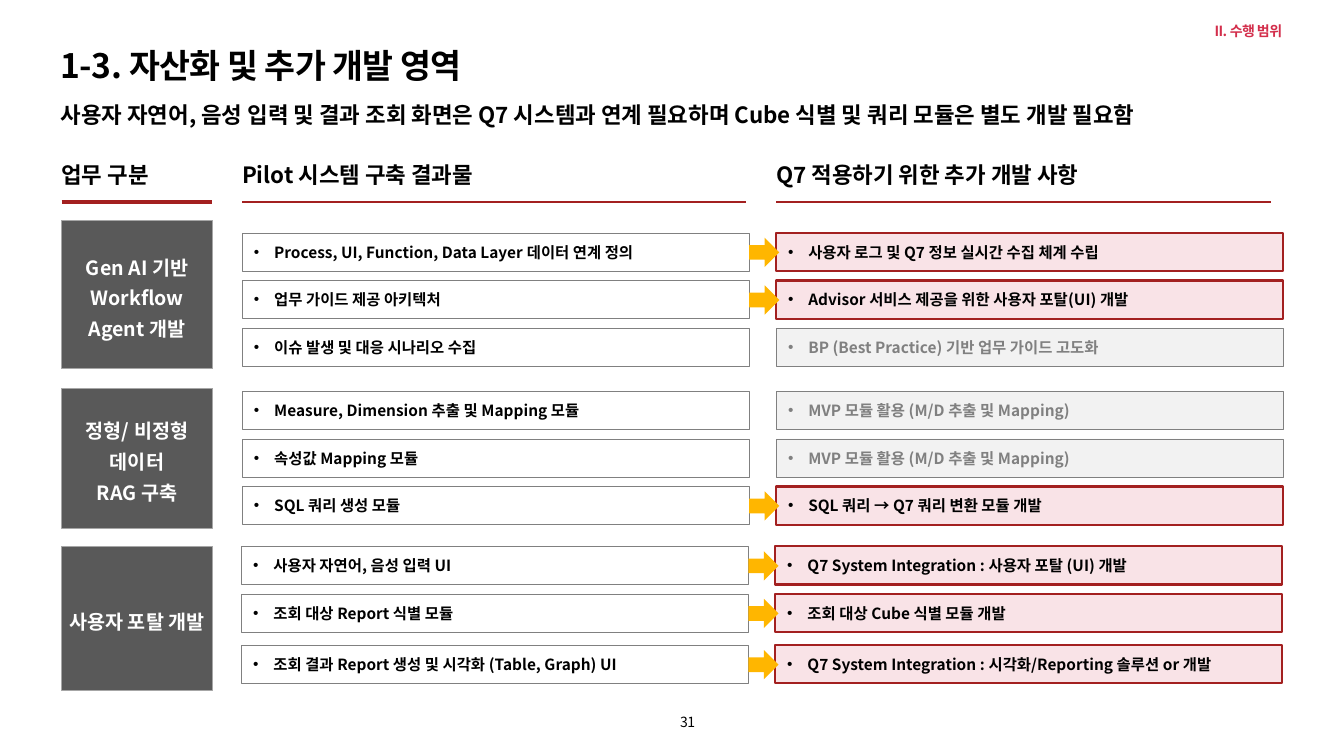
from lxml import etree
from pptx import Presentation
from pptx.dml.color import RGBColor
from pptx.enum.shapes import MSO_CONNECTOR, MSO_SHAPE
from pptx.enum.text import MSO_ANCHOR, PP_ALIGN
from pptx.oxml.ns import qn
from pptx.util import Cm, Pt

RECT, ARROW = MSO_SHAPE.RECTANGLE, MSO_SHAPE.RIGHT_ARROW
STRAIGHT = MSO_CONNECTOR.STRAIGHT
TOP, MIDDLE = MSO_ANCHOR.TOP, MSO_ANCHOR.MIDDLE
LEFT, CENTER, RIGHT = PP_ALIGN.LEFT, PP_ALIGN.CENTER, PP_ALIGN.RIGHT

FONT = "Noto Sans CJK JP"
BLACK = RGBColor(0x00, 0x00, 0x00)
WHITE = RGBColor(0xFF, 0xFF, 0xFF)
DARK = RGBColor(0x59, 0x59, 0x59)
GRAY = RGBColor(0x80, 0x80, 0x80)
SILVER = RGBColor(0xA6, 0xA6, 0xA6)
PALE = RGBColor(0xF2, 0xF2, 0xF2)
PINK = RGBColor(0xF9, 0xE3, 0xE7)
RED = RGBColor(0xA3, 0x20, 0x20)
CRIMSON = RGBColor(0xD3, 0x2E, 0x4B)
AMBER = RGBColor(0xFF, 0xB6, 0x00)

TASK_X, TASK_W = 1.55, 3.81
PILOT_X, EXTRA_X, ITEM_W, ITEM_H = 6.1, 19.56, 12.78, 0.96
PITCH = 1.2

HEADERS = [
    ("업무 구분", TASK_X, 3.78, 2.9),
    ("Pilot 시스템 구축 결과물", PILOT_X, 12.7, 1.5),
    ("Q7 적용하기 위한 추가 개발 사항", EXTRA_X, 12.47, 1.5),
]

SECTIONS = [
    (5.56, 3.73, ["Gen AI 기반", "Workflow Agent 개발"], 0, [0.31, 0.31 + PITCH, 0.31 + 2 * PITCH], [
        ("Process, UI, Function, Data Layer 데이터 연계 정의",
         "사용자 로그 및 Q7 정보 실시간 수집 체계 수립", True),
        ("업무 가이드 제공 아키텍처",
         "Advisor 서비스 제공을 위한 사용자 포탈(UI) 개발", True),
        ("이슈 발생 및 대응 시나리오 수집",
         "BP (Best Practice) 기반 업무 가이드 고도화", False),
    ]),
    (9.78, 3.53, ["정형/ 비정형 데이터\nRAG 구축"], 0, [0.08, 0.08 + PITCH, 0.08 + 2 * PITCH], [
        ("Measure, Dimension 추출 및 Mapping 모듈",
         "MVP 모듈 활용 (M/D 추출 및 Mapping)", False),
        ("속성값 Mapping 모듈", "MVP 모듈 활용 (M/D 추출 및 Mapping)", False),
        ("SQL 쿼리 생성 모듈", "SQL 쿼리 → Q7 쿼리 변환 모듈 개발", True),
    ]),
    (13.77, 3.63, ["사용자 포탈 개발"], -0.02, [0, PITCH, 2.49], [
        ("사용자 자연어, 음성 입력 UI",
         "Q7 System Integration : 사용자 포탈 (UI) 개발", True),
        ("조회 대상 Report 식별 모듈", "조회 대상 Cube 식별 모듈 개발", True),
        ("조회 결과 Report 생성 및 시각화 (Table, Graph) UI",
         "Q7 System Integration : 시각화/Reporting 솔루션 or 개발", True),
    ]),
]


def add_run(p, text, size, color, bold=True, spacing=None):
    """Add one styled run to a paragraph."""
    r = p.add_run()
    r.text = text
    r.font.size = Pt(size)
    r.font.bold = bold
    r.font.color.rgb = color
    r.font.name = FONT
    rPr = r._r.get_or_add_rPr()
    etree.SubElement(rPr, qn("a:ea"), typeface=FONT)
    if spacing:
        rPr.set("spc", str(spacing))


def set_frame(tf, anchor, left=0, top=0, right=0, bottom=0):
    """Set the wrapping, anchor and margins of a text frame."""
    tf.word_wrap = True
    tf.vertical_anchor = anchor
    tf.margin_left, tf.margin_top = Cm(left), Cm(top)
    tf.margin_right, tf.margin_bottom = Cm(right), Cm(bottom)


def add_label(s, x, y, w, h, text, size, color=BLACK, align=LEFT, bold=True, spacing=None):
    """Add a single line of text in a box without margins."""
    tf = s.shapes.add_textbox(Cm(x), Cm(y), Cm(w), Cm(h)).text_frame
    set_frame(tf, TOP)
    p = tf.paragraphs[0]
    p.alignment = align
    add_run(p, text, size, color, bold, spacing)


def add_block(s, kind, x, y, w, h, fill=None, line=None, width=0.25):
    """Add a flat shape with an optional fill and outline."""
    sp = s.shapes.add_shape(kind, Cm(x), Cm(y), Cm(w), Cm(h))
    sp.shadow.inherit = False
    if fill is None:
        sp.fill.background()
    else:
        sp.fill.solid()
        sp.fill.fore_color.rgb = fill
    if line is None:
        sp.line.fill.background()
    else:
        sp.line.color.rgb = line
        sp.line.width = Pt(width)
    return sp


def add_header(s, x, y, w, text, weight):
    """Add a column heading with a red rule below it."""
    add_label(s, x, y, w, 0.69, text, 16)
    rule = s.shapes.add_connector(STRAIGHT, Cm(x), Cm(y + 1.04), Cm(x + w), Cm(y + 1.04))
    rule.line.color.rgb = RED
    rule.line.width = Pt(weight)
    etree.SubElement(rule._element.spPr, qn("a:effectLst"))


def add_task(s, x, y, w, h, lines):
    """Add the dark box that names a task."""
    tf = add_block(s, RECT, x, y, w, h, DARK, SILVER, 0.5).text_frame
    set_frame(tf, MIDDLE, 0.1, 0.2, 0.1, 0.2)
    for i, line in enumerate(lines):
        p = tf.add_paragraph() if i else tf.paragraphs[0]
        p.alignment = CENTER
        p.line_spacing = 1.3
        for j, part in enumerate(line.split("\n")):
            if j:
                p.add_line_break()
            add_run(p, part, 14, WHITE)


def add_item(s, x, y, w, h, text, color, fill, line, width):
    """Add an outlined box holding one bulleted line."""
    tf = add_block(s, RECT, x, y, w, h, fill, line, width).text_frame
    set_frame(tf, MIDDLE, left=0.3, right=0.1)
    p = tf.paragraphs[0]
    p.alignment = LEFT
    pPr = p._p.get_or_add_pPr()
    pPr.set("marL", str(Cm(0.51)))
    pPr.set("indent", str(Cm(-0.51)))
    etree.SubElement(pPr, qn("a:buFont"), typeface="Arial")
    etree.SubElement(pPr, qn("a:buChar"), char="•")
    add_run(p, text, 11, color)


def add_section(s, y, h, task, shift, offsets, rows):
    """Add a task with its pilot results and further development items."""
    add_task(s, TASK_X, y, TASK_W, h, task)
    for offset, (pilot, extra, needed) in zip(offsets, rows):
        top = y + offset
        style = (BLACK, PINK, RED, 1.5) if needed else (GRAY, PALE, GRAY, 0.25)
        add_item(s, PILOT_X + shift, top, ITEM_W, ITEM_H, pilot, BLACK, None, GRAY, 0.25)
        add_item(s, EXTRA_X + shift, top, ITEM_W, ITEM_H, extra, *style)
        if needed:
            add_block(s, ARROW, PILOT_X + ITEM_W + shift, top + 0.12, 0.76, 0.74, AMBER)


def add_scope_slide(prs):
    """Add the slide on reused assets and further development."""
    s = prs.slides.add_slide(prs.slide_layouts[6])
    add_label(s, 24.79, 0.56, 7.52, 0.25, "II. 수행 범위", 10, CRIMSON, RIGHT, spacing=-40)
    add_label(s, 1.53, 1.12, 30.8, 1.37, "1-3. 자산화 및 추가 개발 영역", 24, spacing=-40)
    add_label(s, 1.53, 2.54, 30.8, 1.19,
              "사용자 자연어, 음성 입력 및 결과 조회 화면은 Q7 시스템과 연계 필요하며 "
              "Cube 식별 및 쿼리 모듈은 별도 개발 필요함", 16)
    for text, x, w, weight in HEADERS:
        add_header(s, x, 4.06, w, text, weight)
    for section in SECTIONS:
        add_section(s, *section)
    add_label(s, 7.92, 17.98, 9.6, 0.43, "31", 10, align=RIGHT, bold=False, spacing=-30)


def main():
    """Build and save the presentation."""
    prs = Presentation()
    prs.slide_width, prs.slide_height = Cm(33.87), Cm(19.05)
    add_scope_slide(prs)
    prs.save("out.pptx")


if __name__ == "__main__":
    main()
